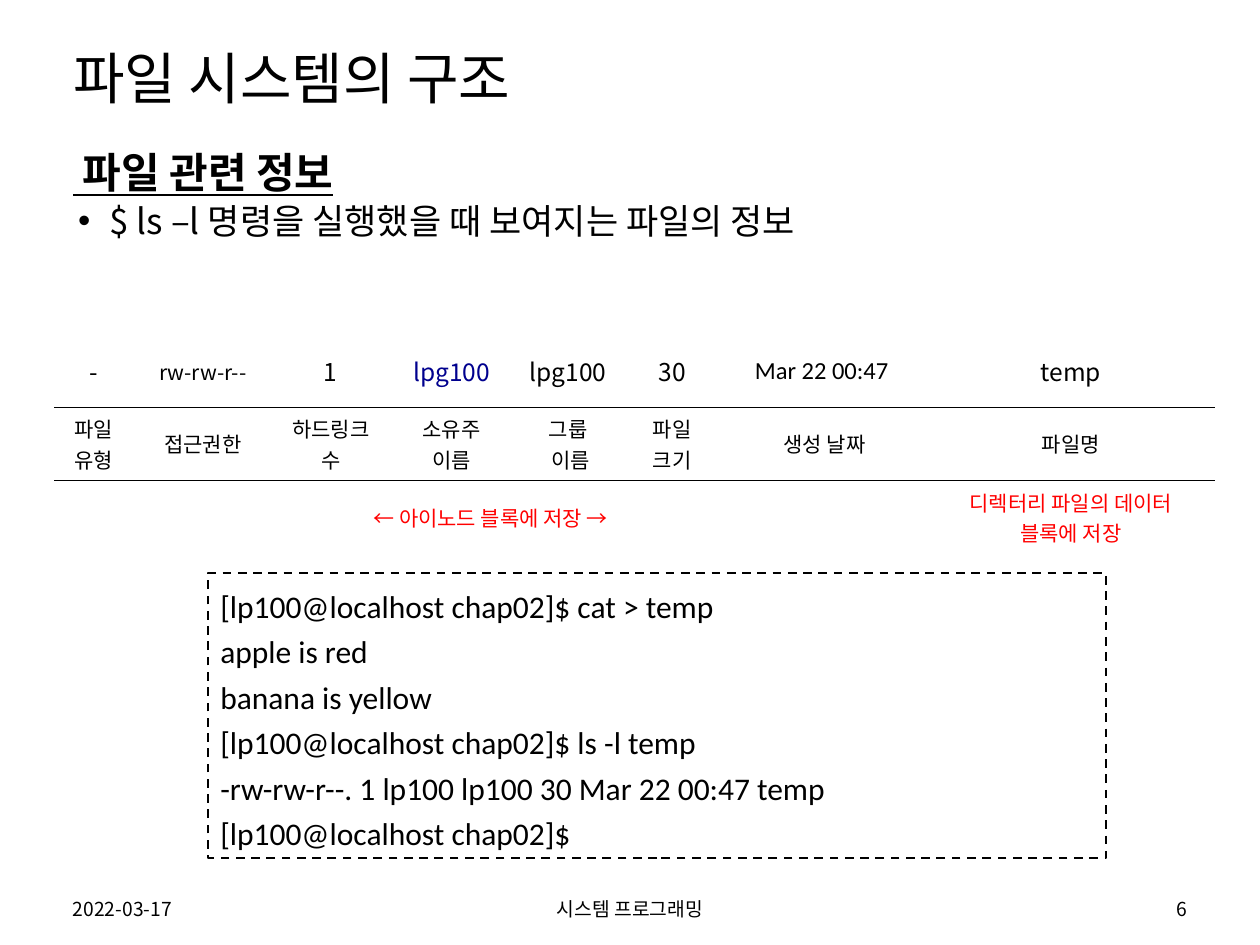
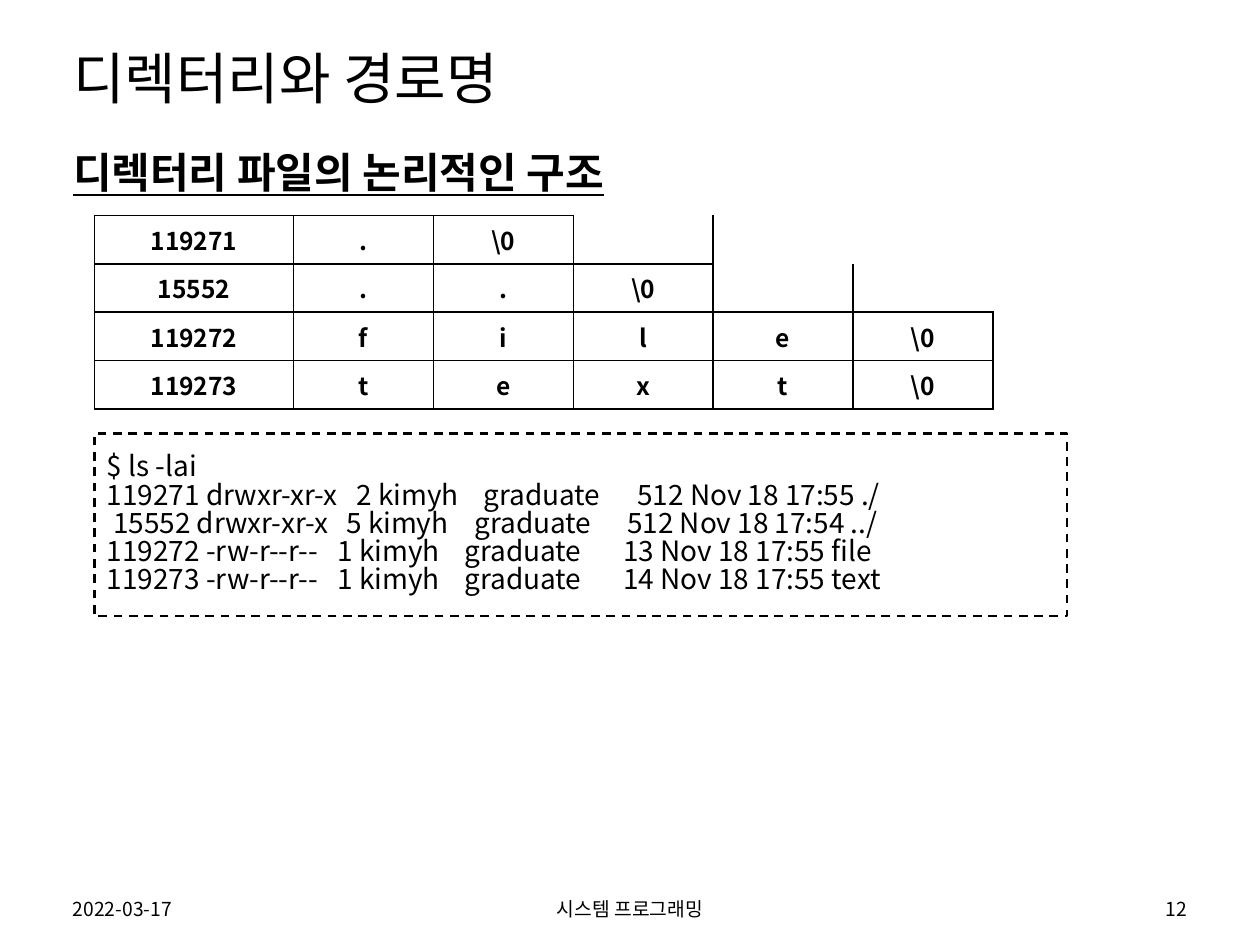
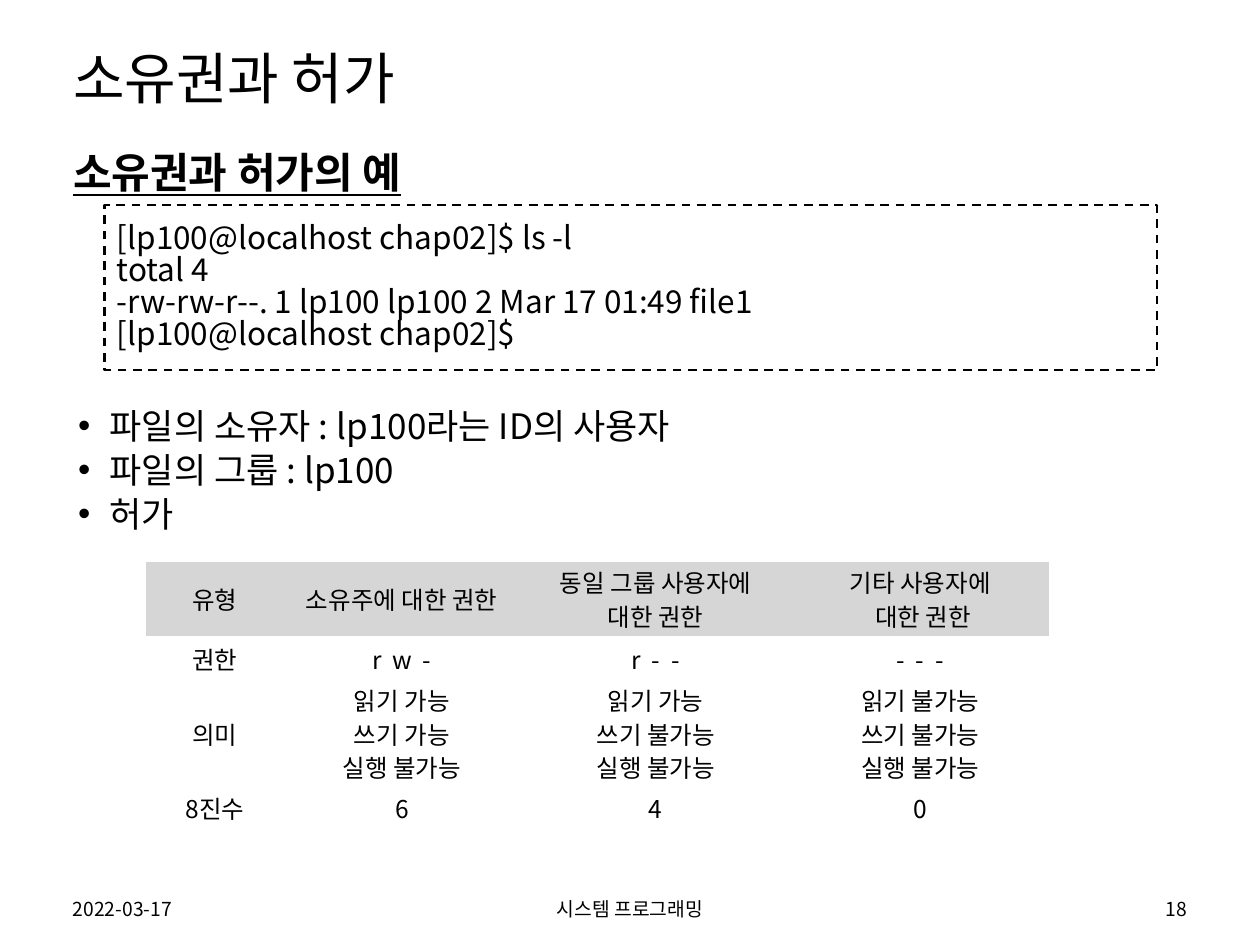
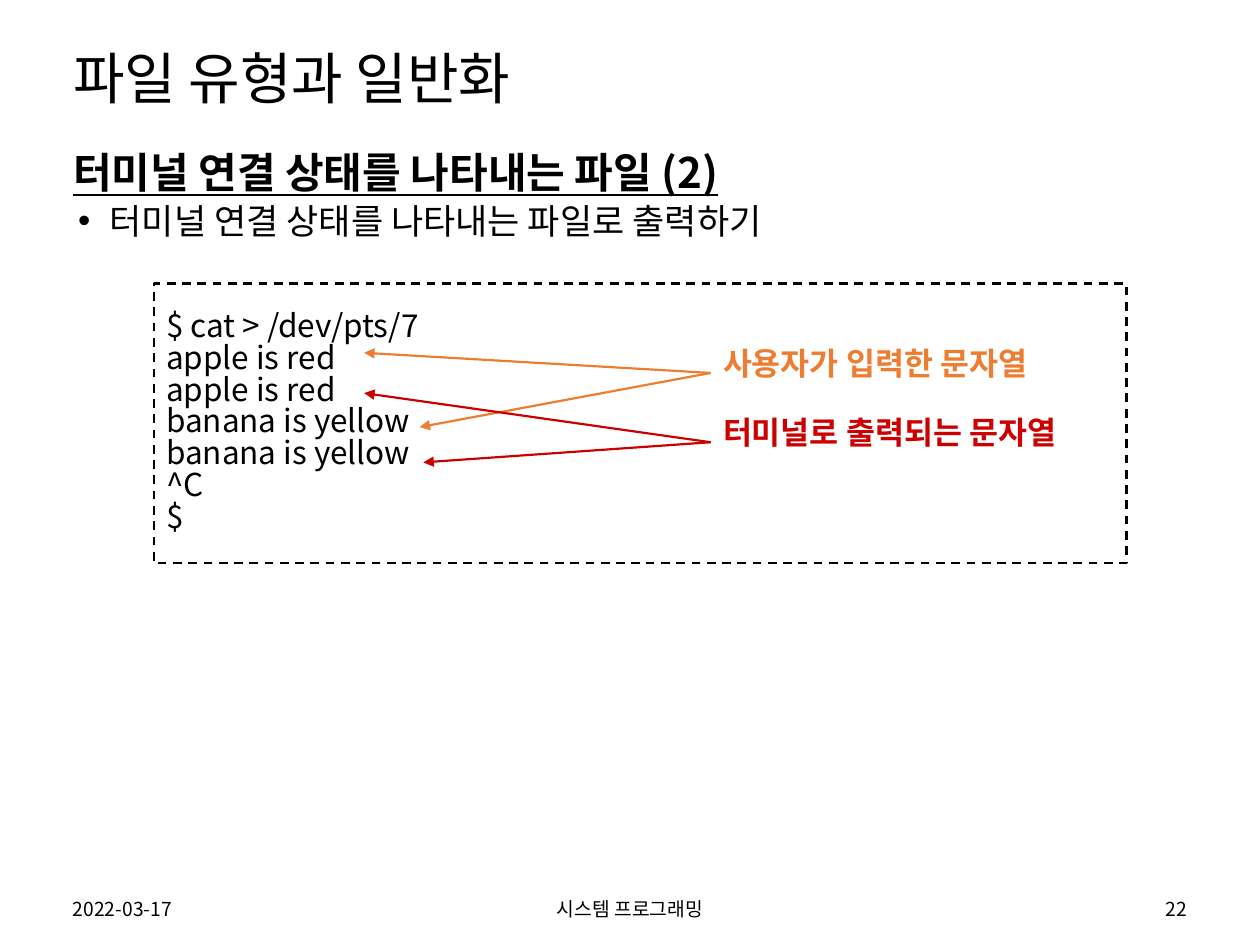
from dataclasses import dataclass
from typing import NamedTuple

from lxml import etree
from pptx import Presentation
from pptx import util as u
from pptx.dml.color import RGBColor
from pptx.enum import dml, shapes, text
from pptx.oxml.ns import qn

LEFT, CENTER, RIGHT = text.PP_ALIGN.LEFT, text.PP_ALIGN.CENTER, text.PP_ALIGN.RIGHT
TOP, MIDDLE = text.MSO_ANCHOR.TOP, text.MSO_ANCHOR.MIDDLE
NO_STYLE = "{2D5ABB26-0587-4C30-8999-92F81FD0307C}"


@dataclass(frozen=True)
class Theme:
    font: str = "Noto Sans CJK KR"
    latin: str = "Calibri"
    ink: str = "000000"
    navy: str = "00008E"
    red: str = "FF0000"
    crimson: str = "CC0000"
    orange: str = "ED7D31"
    header: str = "D6D6D6"
    title: float = 32
    heading: float = 24
    bullet: float = 20
    console: float = 18
    listing: float = 16
    cell: float = 14
    small: float = 12
    footer: float = 11
    line: float = 1.25
    tight: float = 0.84


T = Theme()


class Box(NamedTuple):
    x: float
    y: float
    w: float
    h: float

    def emu(self) -> list:
        return [u.Inches(v) for v in self]


class Bullet(NamedTuple):
    text: str
    before: float = 5


class Footer(NamedTuple):
    x: float
    w: float
    align: int


class Arrow(NamedTuple):
    start: tuple
    end: tuple
    color: str


TITLE_BOX = Box(0.48, 0.23, 9.06, 0.83)
BODY_BOX = Box(0.48, 1.18, 9.06, 5.76)
FOOTERS = (Footer(0.48, 2.25, LEFT), Footer(3.31, 3.38, CENTER), Footer(7.27, 2.25, RIGHT))


# ---- Text ----
def write(tf, content: str, *, size: float, color: str = T.ink, font: str = T.font,
          bold: bool = False, underline: bool = False, align=LEFT, before: float = 0,
          spacing: float = 1.0, level: int = 0, bullet: str = "", plain: bool = False,
          tabs: tuple = (), tracking: int = 0) -> None:
    """Add one formatted paragraph; newlines become line breaks."""
    p = tf.paragraphs[0] if not tf.text else tf.add_paragraph()
    p.alignment, p.level = align, level
    p.space_before, p.line_spacing = u.Pt(before), spacing
    pPr = p._p.get_or_add_pPr()
    if bullet:
        pPr.set("marL", str(u.Inches(0.29)))
        pPr.set("indent", str(-u.Inches(0.25)))
        etree.SubElement(pPr, qn("a:buFont"), typeface="Arial")
        etree.SubElement(pPr, qn("a:buChar"), char=bullet)
    elif plain:
        pPr.set("marL", "0")
        pPr.set("indent", "0")
        etree.SubElement(pPr, qn("a:buNone"))
    if tabs:
        stops = etree.SubElement(pPr, qn("a:tabLst"))
        for stop in tabs:
            etree.SubElement(stops, qn("a:tab"), pos=str(u.Inches(stop)), algn="l")
    if not content:
        etree.SubElement(p._p, qn("a:endParaRPr"), sz=str(int(size * 100)))
        return
    for i, part in enumerate(content.split("\n")):
        if i:
            p.add_line_break()
        r = p.add_run()
        r.text = part
        r.font.size, r.font.name = u.Pt(size), font
        r.font.bold, r.font.underline = bold, underline
        r.font.color.rgb = RGBColor.from_string(color)
        rPr = r.font._element
        if tracking:
            rPr.set("spc", str(tracking))
        rPr.find(qn("a:latin")).addnext(etree.Element(qn("a:ea"), typeface=T.font))


def frame(s, anchor=TOP):
    tf = s.text_frame
    tf.word_wrap, tf.auto_size = True, text.MSO_AUTO_SIZE.NONE
    tf.vertical_anchor = anchor
    return tf


def place(s, box: Box) -> None:
    s.left, s.top, s.width, s.height = box.emu()


# ---- Shared slide parts ----
def add_page(prs, number: int, title: str, heading: str, bullets: tuple = ()):
    s = prs.slides.add_slide(prs.slide_layouts[1])
    head, body = s.shapes.title, s.placeholders[1]
    place(head, TITLE_BOX)
    write(frame(head, MIDDLE), title, size=T.title, spacing=0.9)
    place(body, BODY_BOX)
    tf = frame(body)
    write(tf, heading, size=T.heading, bold=True, underline=True, before=10,
          spacing=T.tight, plain=True)
    for item in bullets:
        write(tf, item.text, size=T.bullet, before=item.before, spacing=T.tight,
              level=1, bullet="•")
    for spot, label in zip(FOOTERS, ("2022-03-17", "시스템 프로그래밍", str(number))):
        sp = s.shapes.add_textbox(*Box(spot.x, 7.07, spot.w, 0.28).emu())
        write(frame(sp, MIDDLE), label, size=T.footer, align=spot.align)
    return s


def add_console(s, box: Box, lines: tuple, *, tab_rows: tuple = (), size: float = T.console,
                **fmt) -> None:
    sp = s.shapes.add_shape(shapes.MSO_SHAPE.RECTANGLE, *box.emu())
    sp.shadow.inherit = False
    sp.fill.background()
    sp.line.color.rgb = RGBColor.from_string(T.ink)
    sp.line.width = u.Pt(T.line)
    sp.line.dash_style = dml.MSO_LINE.DASH
    tf = frame(sp, MIDDLE)
    for i, line in enumerate(lines):
        write(tf, line, size=size, tabs=tab_rows[i] if tab_rows else (),
              **{"spacing": T.tight, **fmt})


def add_arrow(s, arrow: Arrow) -> None:
    c = s.shapes.add_connector(shapes.MSO_CONNECTOR.STRAIGHT,
                               *Box(*arrow.start, *arrow.end).emu())
    c.line.color.rgb = RGBColor.from_string(arrow.color)
    c.line.width = u.Pt(T.line)
    spPr = c._element.spPr
    etree.SubElement(spPr.find(qn("a:ln")), qn("a:tailEnd"), type="triangle")
    etree.SubElement(spPr, qn("a:effectLst"))


# ---- Tables ----
def add_grid(s, x: float, y: float, widths: tuple, heights: tuple):
    box = Box(x, y, sum(widths), sum(heights))
    table = s.shapes.add_table(len(heights), len(widths), *box.emu()).table
    table.first_row = table.horz_banding = False
    table._tbl.tblPr.find(qn("a:tableStyleId")).text = NO_STYLE
    for col, w in zip(table.columns, widths):
        col.width = u.Inches(w)
    for row, h in zip(table.rows, heights):
        row.height = u.Inches(h)
    return table


def fill_cell(cell, content: str, *, anchor=MIDDLE, fill: str = "", edges: str = "",
              weight: float = 1, **fmt) -> None:
    """Fill a cell; edges names the ruled sides among L, R, T and B."""
    cell.vertical_anchor = anchor
    if fill:
        cell.fill.solid()
        cell.fill.fore_color.rgb = RGBColor.from_string(fill)
    else:
        cell.fill.background()
    tcPr = cell._tc.get_or_add_tcPr()
    for i, side in enumerate(side for side in "LRTB" if side in edges):
        ln = etree.Element(qn(f"a:ln{side}"), w=str(u.Pt(weight)))
        paint = etree.SubElement(ln, qn("a:solidFill"))
        etree.SubElement(paint, qn("a:srgbClr"), val=T.ink)
        tcPr.insert(i, ln)
    for line in content.split("\r"):
        write(cell.text_frame, line, align=CENTER, **{"size": T.cell, **fmt})


# ---- Slides ----
def file_info(prs) -> None:
    s = add_page(prs, 6, "파일 시스템의 구조", " 파일 관련 정보",
                 (Bullet("$ ls –l 명령을 실행했을 때 보여지는 파일의 정보"),))
    table = add_grid(s, 0.43, 2.66, (0.63, 1.1, 0.93, 0.99, 0.86, 0.79, 1.63, 2.28),
                     (0.57, 0.5, 0.5))
    values = ("-", "rw-rw-r--", "1", "lpg100", "lpg100", "30", "Mar 22 00:47 ", "temp")
    names = ("파일\n유형", "접근권한", "하드링크수", "소유주\n이름", "그룹\n 이름",
             "파일\n크기", "생성 날짜", "파일명")
    special = {1: {"size": T.small}, 3: {"color": T.navy}, 6: {"font": T.latin}}
    for c, (value, name) in enumerate(zip(values, names)):
        fill_cell(table.cell(0, c), value, edges="B", weight=0.25, **special.get(c, {}))
        fill_cell(table.cell(1, c), name, edges="T", weight=0.25, size=T.small)
    table.cell(2, 0).merge(table.cell(2, 6))
    for c, note in ((0, "← 아이노드 블록에 저장 →"), (7, "디렉터리 파일의 데이터 블록에 저장")):
        fill_cell(table.cell(2, c), note, size=T.small, color=T.red)
    add_console(s, Box(1.65, 4.55, 7.13, 2.26), (
        "[lp100@localhost chap02]$ cat > temp", "apple is red", "banana is yellow",
        "[lp100@localhost chap02]$ ls -l temp",
        "-rw-rw-r--. 1 lp100 lp100 30 Mar 22 00:47 temp",
        "[lp100@localhost chap02]$"), font=T.latin, spacing=1.2)


def directory_layout(prs) -> None:
    s = add_page(prs, 12, "디렉터리와 경로명", "디렉터리 파일의 논리적인 구조")
    entries = (("119271", "."), ("15552", ".."), ("119272", "file"), ("119273", "text"))
    rows = [[inode, *name, "\\0"] for inode, name in entries]
    table = add_grid(s, 0.75, 1.71, (1.58,) + (1.11,) * 5, (0.33,) * len(rows))
    for r, row in enumerate(rows):
        for c in range(6):
            if c < len(row):
                fill_cell(table.cell(r, c), row[c], anchor=TOP, edges="LRTB", bold=True)
            else:
                edges = "L" if c == len(row) else ""
                edges += "B" if c < len(rows[r + 1]) else ""
                fill_cell(table.cell(r, c), "", anchor=TOP, edges=edges)
    wide, middle, narrow = (1.98, 2.99, 4.21), (1.9, 2.92, 4.13), (1.83, 2.84, 4.1)
    add_console(s, Box(0.75, 3.44, 7.72, 1.45), (
        "$ ls -lai",
        "119271 drwxr-xr-x\t2 kimyh\tgraduate\t512 Nov 18 17:55 ./",
        " 15552 drwxr-xr-x\t5 kimyh\tgraduate\t512 Nov 18 17:54 ../",
        "119272 -rw-r--r--\t1 kimyh\tgraduate\t13 Nov 18 17:55 file",
        "119273 -rw-r--r--\t1 kimyh\tgraduate\t14 Nov 18 17:55 text"),
        tab_rows=((), wide, middle, narrow, narrow), size=T.listing)


def ownership(prs) -> None:
    s = add_page(prs, 18, "소유권과 허가", "소유권과 허가의 예",
                 (Bullet("파일의 소유자 : lp100라는 ID의 사용자", before=122),
                  Bullet("파일의 그룹 : lp100"), Bullet("허가")))
    add_console(s, Box(0.83, 1.63, 8.35, 1.31), (
        "[lp100@localhost chap02]$ ls -l", "total 4",
        "-rw-rw-r--. 1 lp100 lp100 2 Mar 17 01:49 file1", "[lp100@localhost chap02]$"))
    rows = (
        ("유형", "소유주에 대한 권한", "동일 그룹 사용자에\n대한 권한", "기타 사용자에\n 대한 권한"),
        ("권한", "r w -", "r - -", "- - -"),
        ("의미", "읽기 가능\r쓰기 가능\r실행 불가능", "읽기 가능\r쓰기 불가능\r실행 불가능",
         "읽기 불가능\r쓰기 불가능\r실행 불가능"),
        ("8진수", "6", "4", "0"),
    )
    table = add_grid(s, 1.16, 4.46, (1.09, 1.88, 2.15, 2.05), (0.59, 0.37, 0.81, 0.37))
    for r, row in enumerate(rows):
        for c, content in enumerate(row):
            cell = table.cell(r, c)
            cell.margin_top = cell.margin_bottom = 0
            fill_cell(cell, content, fill=T.header if r == 0 else "", spacing=0.95,
                      tracking=150 if r == 1 and c else 0)


def terminal_output(prs) -> None:
    s = add_page(prs, 22, "파일 유형과 일반화", "터미널 연결 상태를 나타내는 파일 (2)",
                 (Bullet("터미널 연결 상태를 나타내는 파일로 출력하기"),))
    add_console(s, Box(1.22, 2.25, 7.72, 2.22), (
        "$ cat > /dev/pts/7", "apple is red", "apple is red", "banana is yellow",
        "banana is yellow", "^C", "$"))
    tf = frame(s.shapes.add_textbox(*Box(5.64, 2.73, 3.06, 1).emu()))
    for label, color, before in (("사용자가 입력한 문자열", T.orange, 0),
                                 ("터미널로 출력되는 문자열", T.crimson, 21)):
        write(tf, label, size=T.console, color=color, bold=True, before=before,
              spacing=T.tight)
    typed, printed = (5.64, 2.96), (5.64, 3.51)
    for arrow in (Arrow(typed, (2.89, 2.8), T.orange), Arrow(typed, (3.33, 3.39), T.orange),
                  Arrow(printed, (2.89, 3.12), T.crimson),
                  Arrow(printed, (3.36, 3.67), T.crimson)):
        add_arrow(s, arrow)


def main() -> None:
    prs = Presentation()
    prs.slide_width, prs.slide_height = u.Inches(10), u.Inches(7.5)
    for build in (file_info, directory_layout, ownership, terminal_output):
        build(prs)
    prs.save("out.pptx")


if __name__ == "__main__":
    main()
